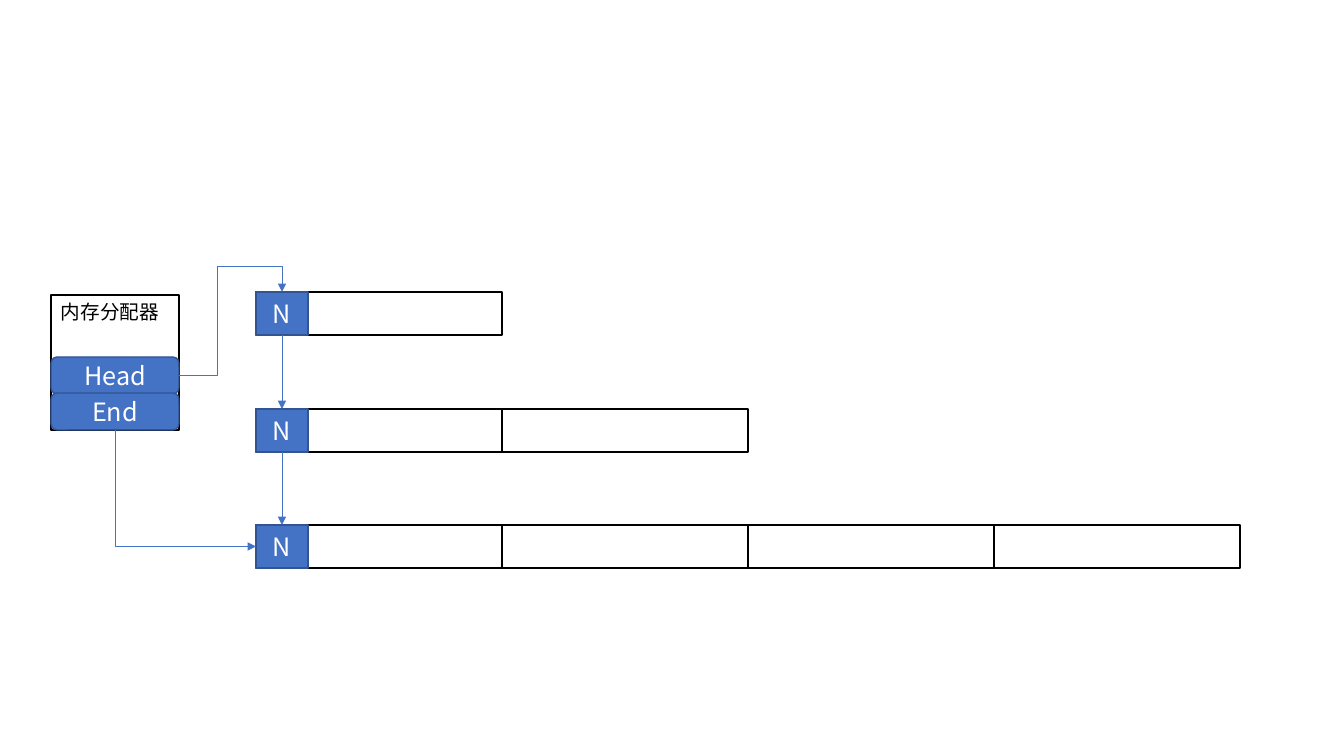
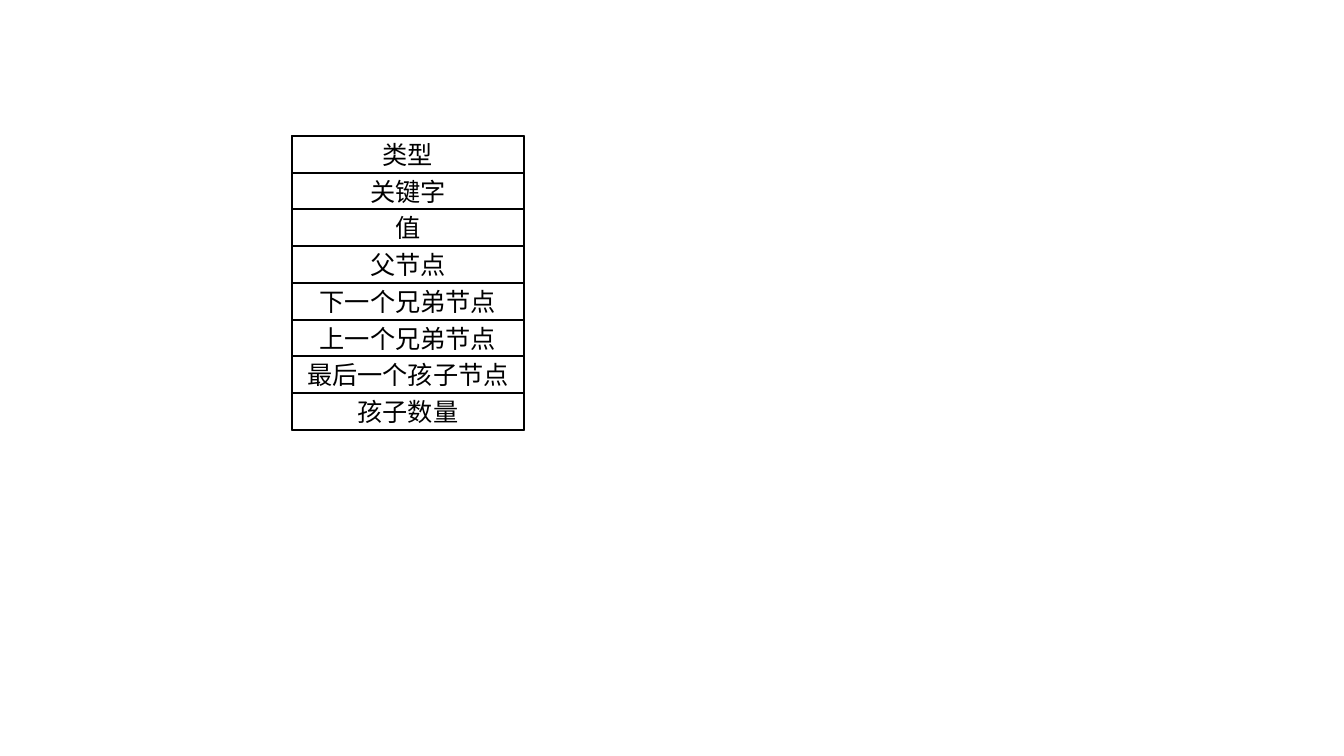
from dataclasses import dataclass
from typing import Any

import pptx
import pptx.dml.color
import pptx.enum.shapes
import pptx.enum.text
import pptx.oxml.ns
import pptx.util
from lxml import etree

# Shared look
SCALE = 914400 / 100.8
FONT = "Noto Sans CJK SC"
WHITE, BLACK, BLUE, NAVY = "FFFFFF", "000000", "4472C4", "325491"
KIND = pptx.enum.shapes.MSO_SHAPE
ALIGN = pptx.enum.text.PP_ALIGN
ANCHOR = pptx.enum.text.MSO_ANCHOR
ELBOW = pptx.enum.shapes.MSO_CONNECTOR.ELBOW
STRAIGHT = pptx.enum.shapes.MSO_CONNECTOR.STRAIGHT
TOP, LEFT, BOTTOM, RIGHT = range(4)  # connection sites of a box


@dataclass
class Box:
    x: int
    y: int
    w: int
    h: int
    text: str = ""
    fill: str = WHITE
    line: str = BLACK
    kind: Any = KIND.RECTANGLE


def px(size: float) -> int:
    return round(size * SCALE)


def color(code: str) -> pptx.dml.color.RGBColor:
    return pptx.dml.color.RGBColor.from_string(code)


def tag(name: str) -> str:
    return pptx.oxml.ns.qn(name)


def write(shape: Any, text: str, size: int = 18, ink: str = BLACK,
          align: Any = ALIGN.CENTER, anchor: Any = ANCHOR.MIDDLE) -> None:
    frame = shape.text_frame
    frame.word_wrap = True
    frame.vertical_anchor = anchor
    para = frame.paragraphs[0]
    para.alignment = align
    run = para.add_run()
    run.text = text
    run.font.size = pptx.util.Pt(size)
    run.font.name = FONT
    run.font.color.rgb = color(ink)
    east = etree.SubElement(run.font._element, tag("a:ea"))
    east.set("typeface", FONT)


def draw(shapes: Any, box: Box, **style: Any) -> Any:
    shape = shapes.add_shape(box.kind, px(box.x), px(box.y), px(box.w), px(box.h))
    shape.shadow.inherit = False
    shape.fill.solid()
    shape.fill.fore_color.rgb = color(box.fill)
    shape.line.color.rgb = color(box.line)
    shape.line.width = pptx.util.Pt(1)
    if box.text:
        write(shape, box.text, **style)
    return shape


def join(shapes: Any, start: Any, out: int, end: Any, into: int,
         kind: Any = STRAIGHT) -> Any:
    link = shapes.add_connector(kind, 0, 0, 0, 0)
    link.begin_connect(start, out)
    link.end_connect(end, into)
    link.line.color.rgb = color(BLUE)
    link.line.width = pptx.util.Pt(0.5)
    tip = etree.SubElement(link.line._get_or_add_ln(), tag("a:tailEnd"))
    tip.set("type", "triangle")
    etree.SubElement(link._element.spPr, tag("a:effectLst"))
    return link


def bend(link: Any, preset: str, *turns: int) -> None:
    """Choose the elbow form; turns are in thousandths of a percent."""
    geom = link._element.spPr.find(tag("a:prstGeom"))
    geom.set("prst", preset)
    for old in list(geom):
        geom.remove(old)
    guides = etree.SubElement(geom, tag("a:avLst"))
    for num, turn in enumerate(turns, 1):
        guide = etree.SubElement(guides, tag("a:gd"))
        guide.set("name", f"adj{num}")
        guide.set("fmla", f"val {turn}")


def turn_left(link: Any) -> None:
    """Rotate by 270 degrees and mirror, keeping both ends in place."""
    x, y, w, h = link.left, link.top, link.width, link.height
    link.left, link.top = x + (w - h) // 2, y + (h - w) // 2
    link.width, link.height = h, w
    form = link._element.spPr.find(tag("a:xfrm"))
    form.set("rot", str(270 * 60000))
    form.set("flipH", "1")


def draw_pool(shapes: Any) -> None:
    # Memory blocks, doubling from row to row
    left, wide, high = 256, 246, 43
    rows = {292: 1, 409: 2, 525: 4}
    for top, count in rows.items():
        for col in range(count):
            draw(shapes, Box(left + col * wide, top, wide, high))

    # Next pointers
    nodes = [draw(shapes, Box(left, top, 52, high, "N", BLUE, NAVY), ink=WHITE)
             for top in rows]
    for upper, lower in zip(nodes, nodes[1:]):
        join(shapes, upper, BOTTOM, lower, TOP)

    # Allocator
    group = shapes.add_group_shape().shapes
    draw(group, Box(51, 295, 128, 135, "内存分配器"),
         size=14, align=ALIGN.LEFT, anchor=ANCHOR.TOP)
    head, tail = [
        draw(group, Box(51, top, 128, 37, text, BLUE, NAVY, KIND.ROUNDED_RECTANGLE),
             ink=WHITE)
        for text, top in (("Head", 357), ("End", 393))]

    # Pointers to the first and last block
    last = join(shapes, tail, BOTTOM, nodes[-1], LEFT, ELBOW)
    bend(last, "bentConnector2")
    turn_left(last)
    first = join(shapes, head, RIGHT, nodes[0], TOP, ELBOW)
    bend(first, "bentConnector4", 37400, 130400)


def draw_node(shapes: Any) -> None:
    # Fields of a tree node
    fields = ("类型", "关键字", "值", "父节点", "下一个兄弟节点",
              "上一个兄弟节点", "最后一个孩子节点", "孩子数量")
    left, top, wide, high, row = 292, 136, 232, 294, 37
    step = (high - row) / (len(fields) - 1)
    draw(shapes, Box(left, top, wide, high))
    for num, field in enumerate(fields):
        draw(shapes, Box(left, round(top + num * step), wide, row, field))


deck = pptx.Presentation()
deck.slide_width, deck.slide_height = px(1344), px(756)
for paint in (draw_pool, draw_node):
    paint(deck.slides.add_slide(deck.slide_layouts[6]).shapes)
deck.save("out.pptx")
